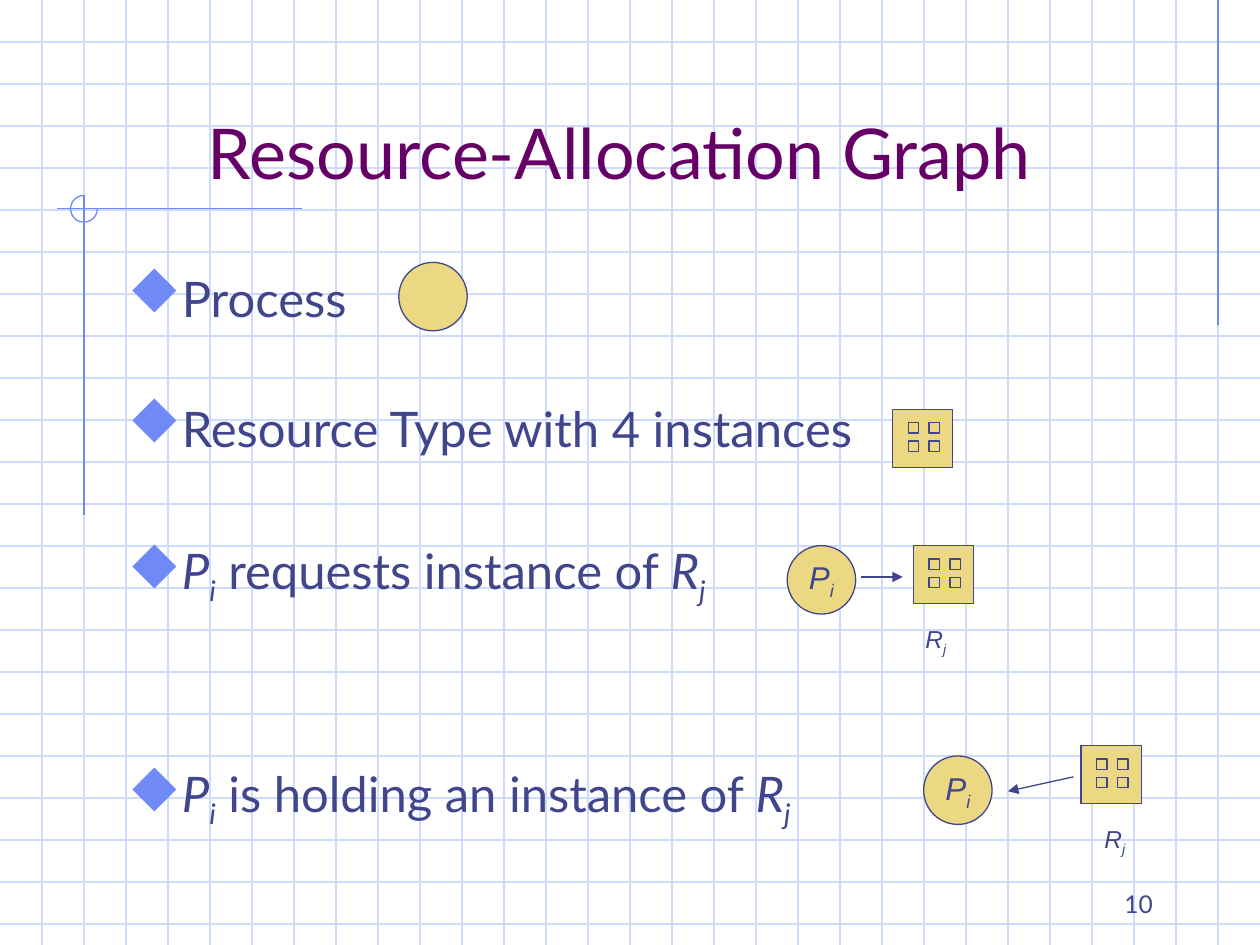
from lxml import etree
from pptx import Presentation
from pptx.dml.color import RGBColor
from pptx.enum import shapes as kinds, text as modes
from pptx.oxml import ns
from pptx.util import Cm, Pt

HUES = {"grid": "CFDBFD", "rule": "6F89F7", "title": "660066",
        "ink": "40458C", "gold": "ECD882"}
SHAPE = kinds.MSO_SHAPE
ALIGN = modes.PP_ALIGN
ANCHOR = modes.MSO_ANCHOR
WIDE, HIGH = 25.4, 19.05
GAP = WIDE / 30
DISC = 1.38
PROC = [("P", "i"), ("i", "is")]
RES = [("R", "i"), ("j", "is")]


def hue(name):
    return RGBColor.from_string(HUES[name])


def child(node, tag, **attrs):
    return etree.SubElement(node, ns.qn(tag), attrs)


def mark(para):
    props = para._p.get_or_add_pPr()
    props.set("marL", str(Cm(0.95)))
    props.set("indent", str(-Cm(0.95)))
    child(child(props, "a:buClr"), "a:srgbClr", val=HUES["rule"])
    child(props, "a:buSzPct", val="110000")
    child(props, "a:buFont", typeface="Wingdings", pitchFamily="2", charset="2")
    child(props, "a:buChar", char="u")


def write(shape, lines, size, face="Lato", color="ink", align=ALIGN.LEFT,
          anchor=ANCHOR.TOP, wrap=True, bullet=False, gaps=()):
    frame = shape.text_frame
    frame.word_wrap = wrap
    frame.vertical_anchor = anchor
    if not wrap:
        frame.margin_left = frame.margin_right = 0
    for n, line in enumerate(lines):
        para = frame.add_paragraph() if n else frame.paragraphs[0]
        if bullet:
            mark(para)
        para.alignment = align
        if n:
            para.space_before = Pt(gaps[n - 1])
        for words, style in line:
            run = para.add_run()
            run.text = words
            font = run.font
            font.name, font.size = face, Pt(size)
            font.color.rgb = hue(color)
            font.italic = "i" in style
            if "s" in style:
                run._r.get_or_add_rPr().set("baseline", "-25000")


def label(slide, x, y, w, h, lines, **fmt):
    box = slide.shapes.add_textbox(Cm(x), Cm(y), Cm(w), Cm(h))
    write(box, lines, **fmt)


def line(slide, x1, y1, x2, y2, color, arrow=False):
    link = slide.shapes.add_connector(
        kinds.MSO_CONNECTOR.STRAIGHT, Cm(x1), Cm(y1), Cm(x2), Cm(y2))
    link.line.color.rgb = hue(color)
    link.line.width = Pt(0.75)
    if arrow:
        child(link.line._get_or_add_ln(), "a:tailEnd", type="triangle")
    child(link._element.spPr, "a:effectLst")


def solid(host, kind, x, y, w, h, fill="gold", edge="ink"):
    shape = host.shapes.add_shape(kind, Cm(x), Cm(y), Cm(w), Cm(h))
    shape.shadow.inherit = False
    if fill:
        shape.fill.solid()
        shape.fill.fore_color.rgb = hue(fill)
    else:
        shape.fill.background()
    shape.line.color.rgb = hue(edge)
    shape.line.width = Pt(0.75)
    return shape


def grid(slide):
    for n in range(1, 23):
        line(slide, 0, n * GAP, WIDE, n * GAP, "grid")
    for n in range(1, 30):
        line(slide, n * GAP, 0, n * GAP, HIGH, "grid")


def trim(slide, x, y):
    line(slide, 29 * GAP, 0, 29 * GAP, 6.56, "rule")
    line(slide, x - 0.55, y, x + 4.4, y, "rule")
    line(slide, x, y - 0.27, x, y + 6.18, "rule")
    arc = solid(slide, SHAPE.ARC, x - 0.27, y - 0.27, 0.54, 0.54, None, "rule")
    arc.adjustments[0] = 0
    arc.adjustments[1] = 162


def process(slide, x, y, name=None):
    disc = solid(slide, SHAPE.OVAL, x, y, DISC, DISC)
    if name:
        write(disc, [name], size=18, face="Arial", align=ALIGN.CENTER,
              anchor=ANCHOR.MIDDLE, wrap=False)


def resource(slide, x, y):
    group = slide.shapes.add_group_shape()
    solid(group, SHAPE.RECTANGLE, x, y, 1.22, 1.17)
    for row in range(2):
        for col in range(2):
            solid(group, SHAPE.RECTANGLE, x + 0.32 + col * 0.42,
                  y + 0.27 + row * 0.37, 0.21, 0.21)


def pair(slide, x, y, drop, arrow, far, tag):
    process(slide, x, y + drop, PROC)
    x1, y1, x2, y2 = arrow
    line(slide, x + x1, y + y1, x + x2, y + y2, "ink", arrow=True)
    resource(slide, x + far, y)
    label(slide, x + tag, y + 1.44, 0.91, 0.94, [RES], size=14, face="Arial",
          align=ALIGN.CENTER, anchor=ANCHOR.MIDDLE, wrap=False)


def body(slide, x, y, w, h):
    lines = [
        [("Process", "")],
        [("Resource Type with 4 instances", "")],
        PROC + [(" requests instance of ", "")] + RES,
        PROC + [(" is holding an instance of ", "")] + RES,
    ]
    label(slide, x, y, w, h, lines, size=28, bullet=True,
          gaps=(40.6, 47.6, 89))


def main():
    deck = Presentation()
    deck.slide_width, deck.slide_height = Cm(WIDE), Cm(HIGH)
    slide = deck.slides.add_slide(deck.slide_layouts[6])
    grid(slide)
    trim(slide, 2 * GAP, 4.21)
    label(slide, 1.69, 0.85, 21.59, 3.18, [[("Resource-Allocation Graph", "")]],
          size=40, color="title", align=ALIGN.CENTER, anchor=ANCHOR.BOTTOM)
    body(slide, 2.33, 5.29, 21.59, 11.43)
    process(slide, 8.04, 5.29)
    resource(slide, 17.99, 8.25)
    pair(slide, 15.87, 11, 0, (1.48, 0.63, 2.33, 0.63), 2.54, 2.54)
    pair(slide, 18.62, 15.03, 0.21, (3.02, 0.63, 1.7, 0.92), 3.17, 3.4)
    label(slide, 18.2, 17.36, 5.29, 1.27, [[("10", "")]], size=14,
          align=ALIGN.RIGHT, anchor=ANCHOR.BOTTOM)
    deck.save("out.pptx")


if __name__ == "__main__":
    main()
